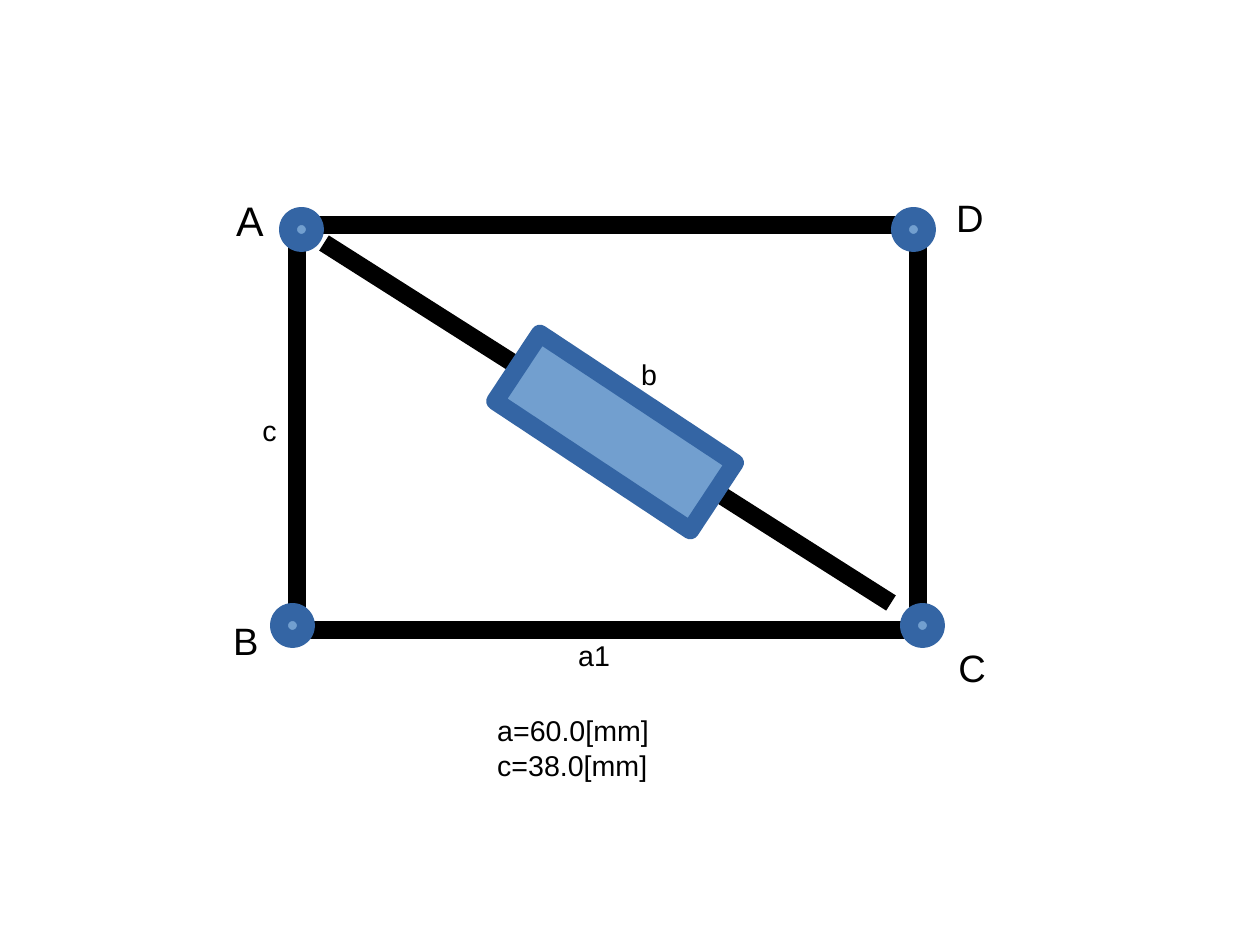
"""Draw a four-bar frame with a diagonal actuator on a 28 by 21 grid."""
from pptx import Presentation, util as u
from pptx.dml.color import RGBColor
from pptx.enum import shapes, text
from pptx.oxml.ns import qn
from lxml import etree

THEME = dict(font="Arial", ink="000000", fill="729FCF", edge="3465A4",
             stroke=11.34, small=18, medium=24, large=26)
COLS, ROWS = 28, 21

prs = Presentation()
prs.slide_width, prs.slide_height = u.Cm(COLS), u.Cm(ROWS)
s = prs.slides.add_slide(prs.slide_layouts[6])


def grid(*cells):
    """Turn alternating column and row counts into slide lengths."""
    units = (prs.slide_width / COLS, prs.slide_height / ROWS)
    return [round(n * units[i % 2]) for i, n in enumerate(cells)]


def label(content, x, y, w, h, size=THEME["small"]):
    """Add a text box that fits its unwrapped lines."""
    tf = s.shapes.add_textbox(*grid(x, y, w, h)).text_frame
    tf.word_wrap = False
    tf.auto_size = text.MSO_AUTO_SIZE.SHAPE_TO_FIT_TEXT
    tf.margin_left, tf.margin_top, tf.margin_right, tf.margin_bottom = grid(0.45, 0.33, 0.45, 0.33)
    tf.text = content
    for p in tf.paragraphs:
        for r in p.runs:
            r.font.name, r.font.size = THEME["font"], u.Pt(size)
            r.font.color.rgb = RGBColor.from_string(THEME["ink"])


bars = [(6.4, 5, 20.6, 5), (6.4, 14, 20.6, 14), (6.6, 5.2, 6.6, 14),
        (20.4, 5.2, 20.4, 13.8), (7.2, 5.4, 19.8, 13.4)]
for ends in bars:
    bar = s.shapes.add_connector(shapes.MSO_CONNECTOR.STRAIGHT, *grid(*ends))
    bar.line.width = u.Pt(THEME["stroke"])
    bar.line.color.rgb = RGBColor.from_string(THEME["ink"])
    etree.SubElement(bar._element.spPr, qn("a:effectLst"))

pivot, block = shapes.MSO_SHAPE.OVAL, shapes.MSO_SHAPE.RECTANGLE
parts = [(pivot, x, y, 0.6, 0.6, 0)
         for x, y in [(20, 4.8), (20.2, 13.6), (6.2, 13.6), (6.4, 4.8)]]
parts.append((block, 12.77, 7, 1.8, 5.2, 303.5))
for kind, x, y, w, h, angle in parts:
    sp = s.shapes.add_shape(kind, *grid(x, y, w, h))
    sp.rotation = angle
    sp.shadow.inherit = False
    sp.fill.solid()
    sp.fill.fore_color.rgb = RGBColor.from_string(THEME["fill"])
    sp.line.width = u.Pt(THEME["stroke"])
    sp.line.color.rgb = RGBColor.from_string(THEME["edge"])

label("A", 4.8, 4, 1.52, 1.68, size=THEME["large"])
label("B", 4.73, 13.39, 1.48, 2, size=THEME["medium"])
label("C", 20.85, 14, 1.53, 1.6, size=THEME["medium"])
label("D", 20.8, 4, 1.53, 1.6, size=THEME["medium"])
label("a=60.0[mm]\nc=38.0[mm]", 10.6, 15.52, 4.36, 2.08)
label("a1", 12.4, 13.84, 1.68, 1.37)
label("b", 13.8, 7.6, 1.25, 1.37)
label("c", 5.38, 8.84, 1.22, 1.37)

prs.save("out.pptx")
